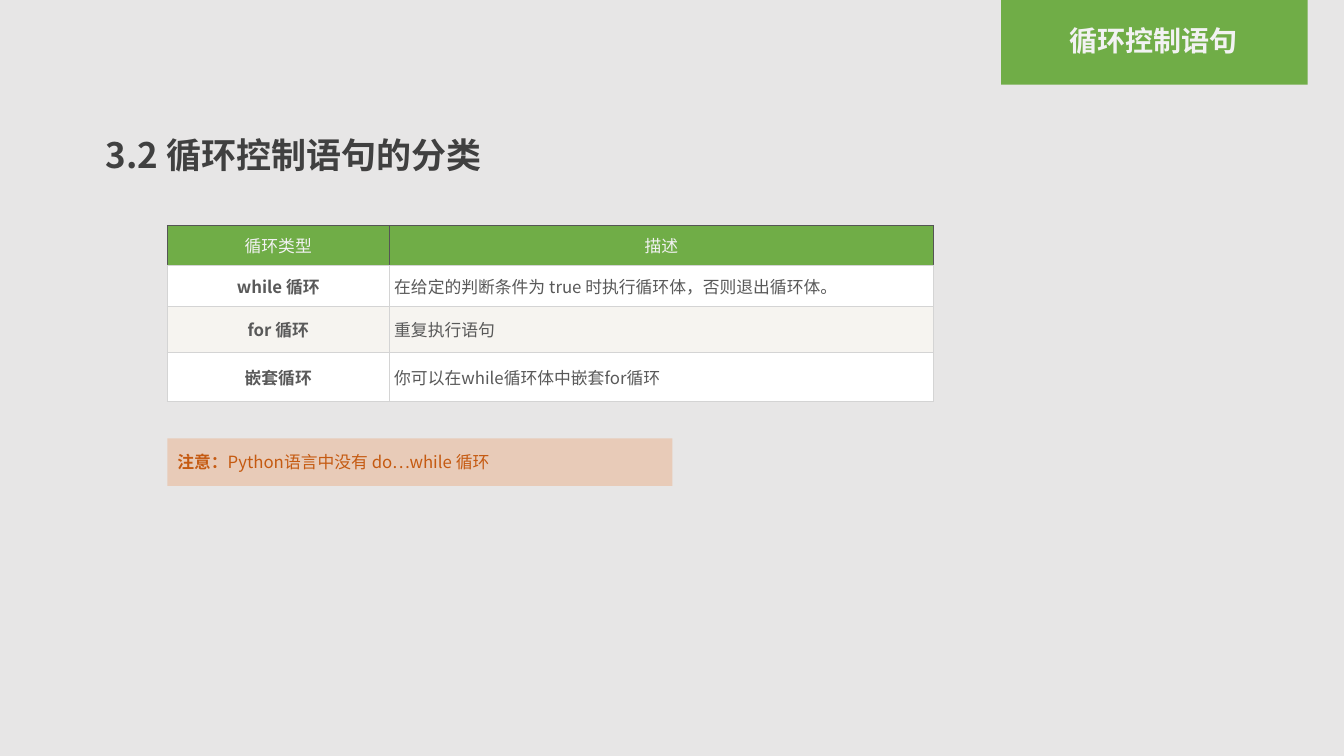
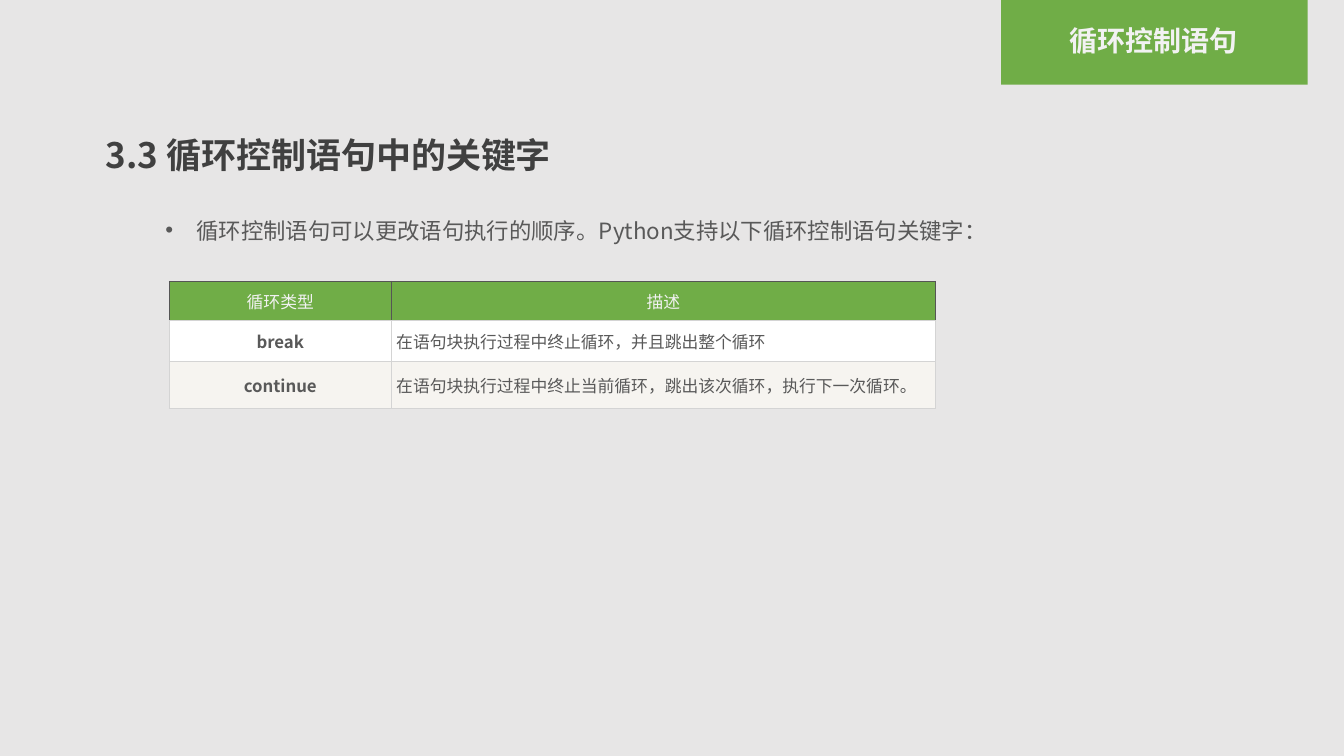
from lxml.etree import SubElement
from pptx import Presentation
from pptx.dml.color import RGBColor
from pptx.enum.shapes import MSO_SHAPE
from pptx.enum.text import MSO_ANCHOR, MSO_AUTO_SIZE, PP_ALIGN
from pptx.oxml.ns import qn
from pptx.util import Inches, Pt

FONT = "Noto Sans CJK SC"
BACKGROUND = RGBColor(0xE7, 0xE6, 0xE6)
GREEN = RGBColor(0x70, 0xAD, 0x47)
ORANGE = RGBColor(0xED, 0x7D, 0x31)
DARK_ORANGE = RGBColor(0xC5, 0x5A, 0x11)
HEADING_GRAY = RGBColor(0x40, 0x40, 0x40)
TEXT_GRAY = RGBColor(0x59, 0x59, 0x59)
NEAR_WHITE = RGBColor(0xF2, 0xF2, 0xF2)
WHITE = RGBColor(0xFF, 0xFF, 0xFF)
CREAM = RGBColor(0xF6, 0xF4, 0xF0)
BORDER_LIGHT = RGBColor(0xD4, 0xD4, 0xD4)
BORDER_DARK = RGBColor(0x55, 0x55, 0x55)

COLUMN_WIDTHS = [2.2, 5.4]
ROW_HEIGHTS = [0.39, 0.41, 0.46, 0.48]
TABLE_HEADER = ("循环类型", "描述")

SLIDES = [
    {
        "heading": "3.2 循环控制语句的分类",
        "heading_width": 3.99,
        "table_at": (1.66, 2.24),
        "rows": [
            ("while 循环", "在给定的判断条件为 true 时执行循环体，否则退出循环体。"),
            ("for 循环", "重复执行语句"),
            ("嵌套循环", "你可以在while循环体中嵌套for循环"),
        ],
        "note": ("注意：", "Python语言中没有 do…while 循环"),
    },
    {
        "heading": "3.3 循环控制语句中的关键字",
        "heading_width": 4.7,
        "table_at": (1.68, 2.79),
        "rows": [
            ("break", "在语句块执行过程中终止循环，并且跳出整个循环"),
            ("continue", "在语句块执行过程中终止当前循环，跳出该次循环，执行下一次循环。"),
        ],
        "bullet": "循环控制语句可以更改语句执行的顺序。Python支持以下循环控制语句关键字：",
    },
]


def format_paragraph(paragraph, size, color, bold=None, alignment=PP_ALIGN.LEFT):
    paragraph.alignment = alignment
    paragraph.font.name = FONT
    paragraph.font.size = Pt(size)
    paragraph.font.color.rgb = color
    paragraph.font.bold = bold


def add_loop_table(slide, position, rows):
    left, top = map(Inches, position)
    heights = ROW_HEIGHTS[:len(rows)]
    frame = slide.shapes.add_table(len(rows), len(COLUMN_WIDTHS), left, top,
                                   Inches(sum(COLUMN_WIDTHS)), Inches(sum(heights)))
    table = frame.table
    table.first_row = False
    table.horz_banding = False
    for column, width in zip(table.columns, COLUMN_WIDTHS):
        column.width = Inches(width)
    for row_index, (row, height) in enumerate(zip(table.rows, heights)):
        row.height = Inches(height)
        is_header = row_index == 0
        for column_index, cell in enumerate(row.cells):
            cell.text = rows[row_index][column_index]
            cell.vertical_anchor = MSO_ANCHOR.MIDDLE
            cell.margin_left = cell.margin_right = Inches(0.03 if is_header else 0.05)
            cell.margin_top = cell.margin_bottom = Inches(0.03 if is_header else 0.07)
            centered = is_header or column_index == 0
            format_paragraph(cell.text_frame.paragraphs[0], 12,
                             NEAR_WHITE if is_header else TEXT_GRAY,
                             bold=column_index == 0 and not is_header,
                             alignment=PP_ALIGN.CENTER if centered else PP_ALIGN.LEFT)
            cell.fill.solid()
            cell.fill.fore_color.rgb = GREEN if is_header else (CREAM, WHITE)[row_index % 2]
    for cell_index, properties in enumerate(frame.element.iter(qn("a:tcPr"))):
        is_header = cell_index < len(COLUMN_WIDTHS)
        for order, side in enumerate(("lnL", "lnR", "lnT", "lnB")):
            color = BORDER_DARK if is_header and side != "lnB" else BORDER_LIGHT
            line = SubElement(properties, qn(f"a:{side}"), w=str(Pt(0.75)))
            fill = SubElement(line, qn("a:solidFill"))
            SubElement(fill, qn("a:srgbClr"), val=str(color))
            properties.insert(order, line)


presentation = Presentation()
presentation.slide_width = Inches(13.33)
presentation.slide_height = Inches(7.5)
master = presentation.slide_master
master.background.fill.solid()
master.background.fill.fore_color.rgb = BACKGROUND

for index, content in enumerate(SLIDES):
    layout = presentation.slide_layouts[1 if "bullet" in content else 5]
    slide = presentation.slides.add_slide(layout)

    if index == 0:
        band = slide.shapes.add_shape(MSO_SHAPE.RECTANGLE, Inches(9.93), 0,
                                      Inches(3.04), Inches(0.84))
        band.shadow.inherit = False
        band.fill.solid()
        band.fill.fore_color.rgb = GREEN
        band.line.fill.background()
        band.element.nvSpPr.cNvPr.set("id", "20")
        master.shapes.element.append(band.element)

    section = slide.shapes.add_textbox(Inches(9.94), Inches(0.21), Inches(3), Inches(0.42))
    section.text_frame.word_wrap = True
    section.text_frame.vertical_anchor = MSO_ANCHOR.MIDDLE
    section.text_frame.text = "循环控制语句"
    paragraph = section.text_frame.paragraphs[0]
    format_paragraph(paragraph, 20, NEAR_WHITE, bold=True, alignment=PP_ALIGN.CENTER)
    paragraph.line_spacing = 0.9

    heading = slide.shapes.title
    heading.left, heading.top = Inches(0.95), Inches(1.34)
    heading.width, heading.height = Inches(content["heading_width"]), Inches(0.52)
    heading.text_frame.text = content["heading"]
    heading.text_frame.word_wrap = True
    heading.text_frame.auto_size = MSO_AUTO_SIZE.NONE
    heading.text_frame.vertical_anchor = MSO_ANCHOR.TOP
    paragraph = heading.text_frame.paragraphs[0]
    format_paragraph(paragraph, 25, HEADING_GRAY, bold=True)
    paragraph.line_spacing = 0.85

    add_loop_table(slide, content["table_at"], [TABLE_HEADER] + content["rows"])

    if "note" in content:
        note = slide.shapes.add_shape(MSO_SHAPE.RECTANGLE, Inches(1.66), Inches(4.35),
                                      Inches(5.01), Inches(0.47))
        note.shadow.inherit = False
        note.fill.solid()
        note.fill.fore_color.rgb = ORANGE
        note.line.fill.background()
        fill_color = next(note.element.iter(qn("a:srgbClr")))
        SubElement(fill_color, qn("a:alpha"), val="25000")
        note.text_frame.vertical_anchor = MSO_ANCHOR.MIDDLE
        paragraph = note.text_frame.paragraphs[0]
        format_paragraph(paragraph, 12, DARK_ORANGE)
        for text, bold in zip(content["note"], (True, False)):
            run = paragraph.add_run()
            run.text = text
            run.font.bold = bold

    if "bullet" in content:
        body = slide.placeholders[1]
        body.left, body.top = Inches(1.54), Inches(2.14)
        body.width, body.height = Inches(8.21), Inches(0.37)
        body.text_frame.text = content["bullet"]
        body.text_frame.auto_size = MSO_AUTO_SIZE.NONE
        paragraph = body.text_frame.paragraphs[0]
        format_paragraph(paragraph, 16, TEXT_GRAY)
        paragraph.line_spacing = 0.85
        paragraph.space_before = Pt(0)
        properties = next(body.element.iter(qn("a:pPr")))
        properties.set("marL", str(Inches(0.31)))
        properties.set("indent", str(-Inches(0.31)))

    for latin in list(slide.element.iter(qn("a:latin"))):
        latin.addnext(latin.makeelement(qn("a:ea"), typeface=FONT))

presentation.save("out.pptx")
